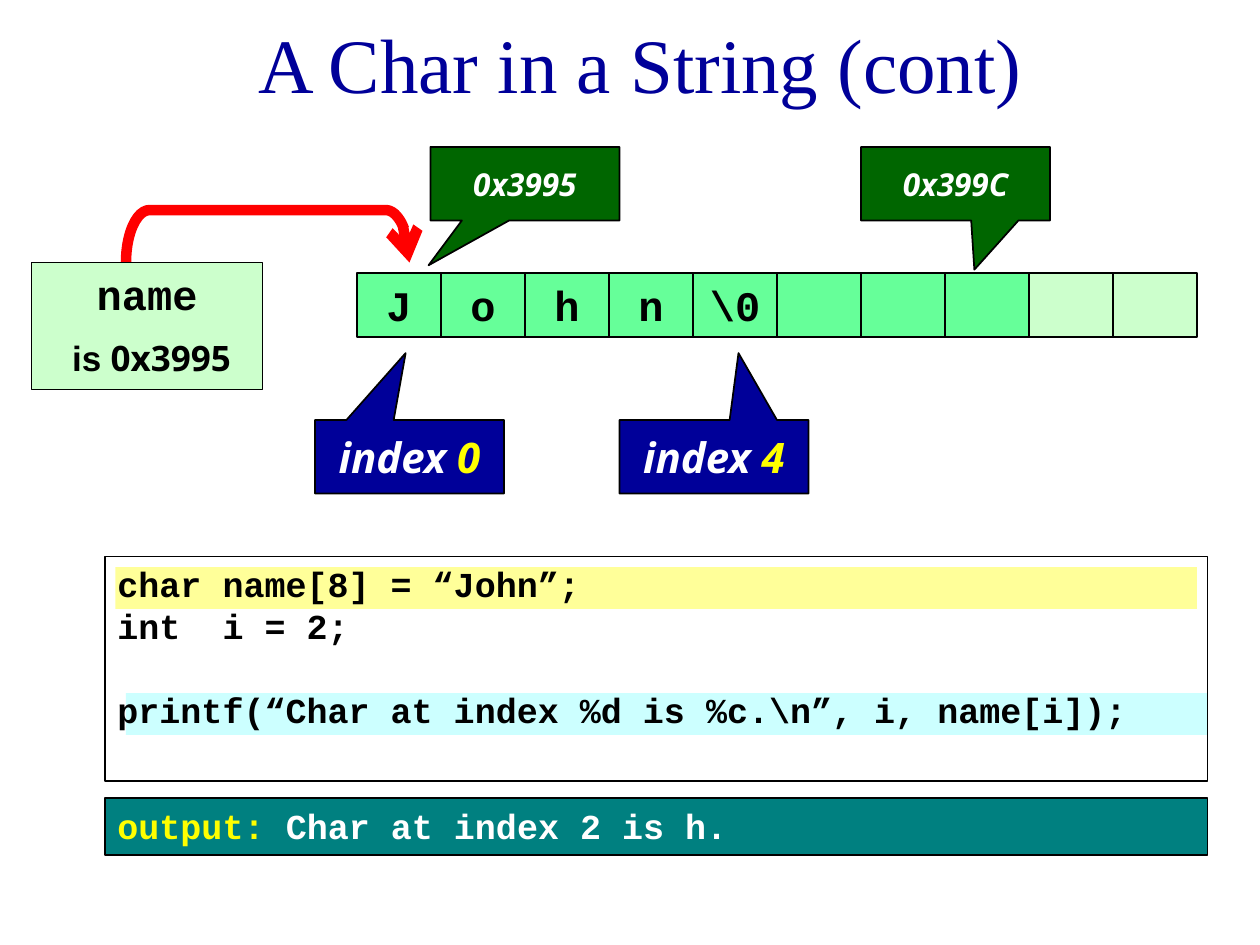
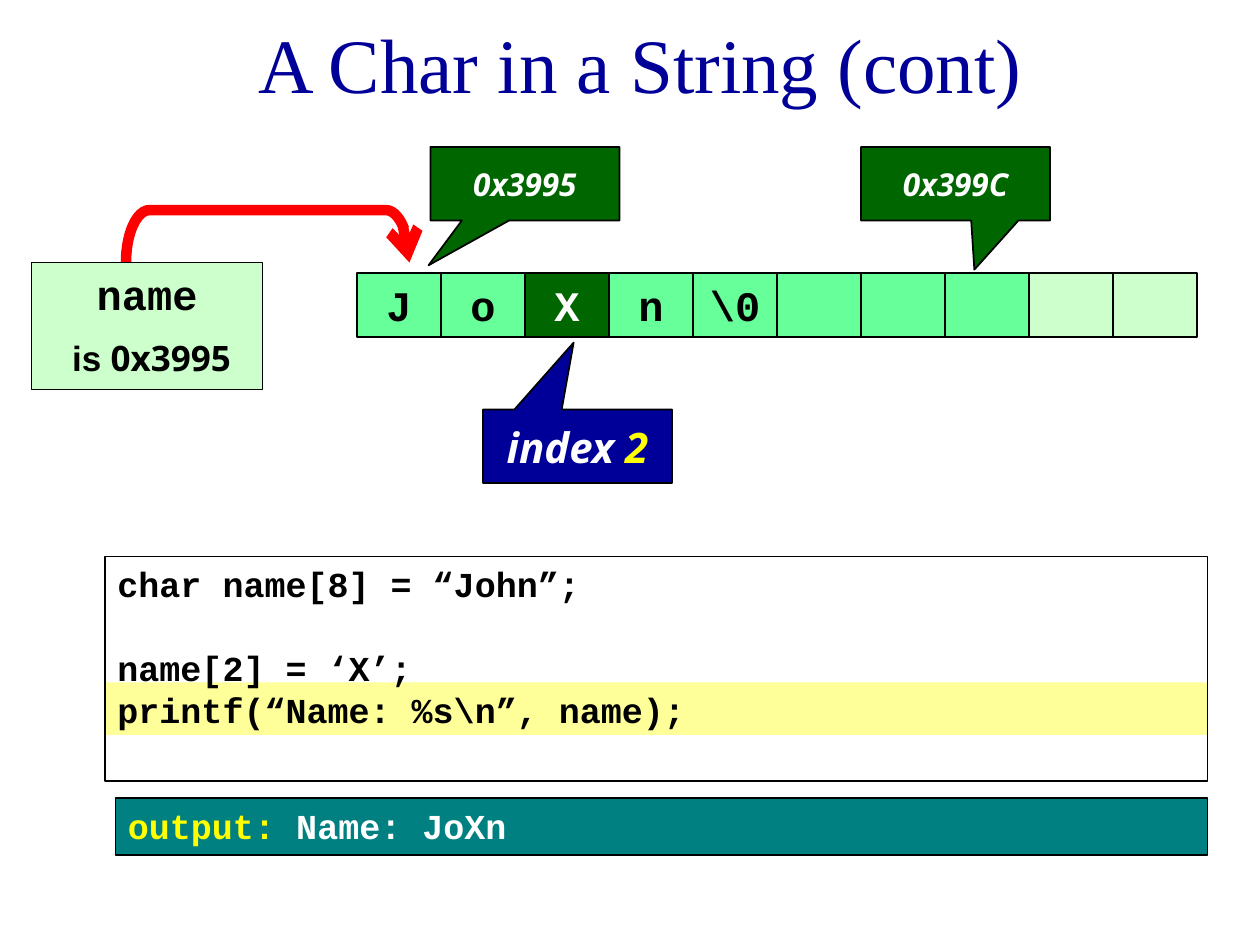
from lxml.etree import SubElement
from pptx import Presentation
from pptx.dml.color import RGBColor
from pptx.enum.shapes import MSO_SHAPE as Shape
from pptx.enum.text import MSO_ANCHOR as Anchor, PP_ALIGN as Align
from pptx.oxml.ns import qn
from pptx.util import Inches, Pt

BLACK = RGBColor(0x00, 0x00, 0x00)
WHITE = RGBColor(0xFF, 0xFF, 0xFF)
NAVY = RGBColor(0x00, 0x00, 0x99)
TEAL = RGBColor(0x00, 0x80, 0x80)
DARK_GREEN = RGBColor(0x00, 0x66, 0x00)
MINT = RGBColor(0x66, 0xFF, 0x99)
PALE_GREEN = RGBColor(0xCC, 0xFF, 0xCC)
PALE_YELLOW = RGBColor(0xFF, 0xFF, 0x99)
PALE_CYAN = RGBColor(0xCC, 0xFF, 0xFF)
YELLOW = RGBColor(0xFF, 0xFF, 0x00)
RED = RGBColor(0xFF, 0x00, 0x00)

CODE, LABEL, PLAIN, SERIF = "Courier New", "Open Sans", "Arial", "Times New Roman"

# The grid has 12 columns and 12 rows to the inch: 120 by 90 on the slide
UNIT = Inches(1) // 12
CELL_COUNT, ARRAY_SIZE = 10, 8
CELL_LEFT, CELL_TOP, CELL_WIDTH, CELL_HEIGHT = 34, 26, 8, 6.1
CODE_LINE = Pt(24)


class Deck:
    def __init__(self):
        self.presentation = Presentation()
        self.presentation.slide_width = UNIT * 120
        self.presentation.slide_height = UNIT * 90
        self.slide = None

    def new_slide(self, title):
        self.slide = self.presentation.slides.add_slide(self.presentation.slide_layouts[6])
        box = self.slide.shapes.add_textbox(*self.grid(10, 2, 102, 8))
        box.text_frame.word_wrap = True
        box.text_frame.vertical_anchor = Anchor.MIDDLE
        paragraph = box.text_frame.paragraphs[0]
        paragraph.alignment = Align.CENTER
        self.run(paragraph, title, SERIF, 44, NAVY, bold=False)

    def grid(self, *cells):
        return [round(UNIT * cell) for cell in cells]

    def run(self, paragraph, text, font, size, color=BLACK, bold=True, italic=False):
        run = paragraph.add_run()
        run.text = text
        run.font.name, run.font.size = font, Pt(size)
        run.font.bold, run.font.italic = bold, italic
        run.font.color.rgb = color

    def shape(self, place, fill=None, line=BLACK, kind=Shape.RECTANGLE, weight=1):
        shape = self.slide.shapes.add_shape(kind, *self.grid(*place))
        shape.shadow.inherit = False
        if fill is None:
            shape.fill.background()
        else:
            shape.fill.solid()
            shape.fill.fore_color.rgb = fill
        if line is None:
            shape.line.fill.background()
        else:
            shape.line.color.rgb = line
            shape.line.width = Pt(weight)
        shape.text_frame.vertical_anchor = Anchor.TOP
        shape.text_frame.paragraphs[0].alignment = Align.LEFT
        return shape

    def band(self, place, color):
        self.shape(place, color, line=None)

    def callout(self, left, top, tip, fill, size, *parts):
        shape = self.shape((left, top, 18, 7), fill, kind=Shape.RECTANGULAR_CALLOUT)
        shape.adjustments[0], shape.adjustments[1] = tip
        frame = shape.text_frame
        frame.word_wrap = False
        frame.vertical_anchor = Anchor.MIDDLE
        frame.paragraphs[0].alignment = Align.CENTER
        for text, color in parts:
            self.run(frame.paragraphs[0], text, LABEL, size, color, italic=True)

    def index(self, left, top, number, tip=-0.02):
        self.callout(left, top, (tip, -1.41), NAVY, 24, ("index ", WHITE), (number, YELLOW))

    def memory(self, values, changed=None):
        for position in range(CELL_COUNT):
            fill = MINT if position < ARRAY_SIZE else PALE_GREEN
            color = BLACK
            if position == changed:
                fill, color = DARK_GREEN, WHITE
            left = CELL_LEFT + position * CELL_WIDTH
            cell = self.shape((left, CELL_TOP, CELL_WIDTH, CELL_HEIGHT), fill)
            if position < len(values):
                paragraph = cell.text_frame.paragraphs[0]
                paragraph.alignment = Align.CENTER
                self.run(paragraph, values[position], CODE, 24, color)

    def pointer(self):
        # Addresses of the first and last element
        self.callout(41, 14, (-0.51, 1.11), DARK_GREEN, 18, ("0x3995", WHITE))
        self.callout(82, 14, (0.1, 1.17), DARK_GREEN, 18, ("0x399C", WHITE))

        # Arrow from the variable to the first cell
        arrow = self.shape((23, 9, 5, 27), line=RED, kind=Shape.RIGHT_BRACKET, weight=6)
        arrow.rotation = 270
        arrow.adjustments[0] = 0.45
        SubElement(arrow.line._get_or_add_ln(), qn("a:tailEnd"), type="arrow")

        # The variable and the address it holds
        frame = self.shape((3, 25, 22, 12.1), PALE_GREEN).text_frame
        name, address = frame.paragraphs[0], frame.add_paragraph()
        name.alignment = address.alignment = Align.CENTER
        self.run(name, "name", CODE, 24)
        address.space_before = Pt(10)
        for text, font in ((" ", LABEL), ("is", PLAIN), (" 0x3995", LABEL)):
            self.run(address, text, font, 20)

    def code(self, *lines, gap_before):
        frame = self.shape((10, 53, 105, 21.4)).text_frame
        for number, line in enumerate(lines):
            paragraph = frame.add_paragraph() if number else frame.paragraphs[0]
            paragraph.alignment = Align.LEFT
            if number == gap_before:
                paragraph.space_before = CODE_LINE
            self.run(paragraph, line, CODE, 20)

    def output(self, text, left=10):
        box = self.shape((left, 76, 115 - left, 5.4), TEAL)
        paragraph = box.text_frame.paragraphs[0]
        self.run(paragraph, "output: ", CODE, 20, YELLOW)
        self.run(paragraph, text, CODE, 20, WHITE)


TITLE = "A Char in a String (cont)"
deck = Deck()

# Slide 1: reading a character
deck.new_slide(TITLE)
deck.band((12, 66, 103, 4), PALE_CYAN)
deck.band((11, 54, 103, 4), PALE_YELLOW)
deck.code("char name[8] = “John”;", "int  i = 2;",
          "printf(“Char at index %d is %c.\\n”, i, name[i]);", gap_before=2)
deck.output("Char at index 2 is h.")
deck.index(30, 40, "0")
deck.index(59, 40, "4", tip=0.13)
deck.memory(["J", "o", "h", "n", "\\0"])
deck.pointer()

# Slide 2: changing a character
deck.new_slide(TITLE)
deck.band((10, 65, 105, 5), PALE_YELLOW)
deck.memory(["J", "o", "X", "n", "\\0"], changed=2)
deck.pointer()
deck.output("Name: JoXn", left=11)
deck.index(46, 39, "2")
deck.code("char name[8] = “John”;", "name[2] = ‘X’;",
          "printf(“Name: %s\\n”, name);", gap_before=1)

deck.presentation.save("out.pptx")
